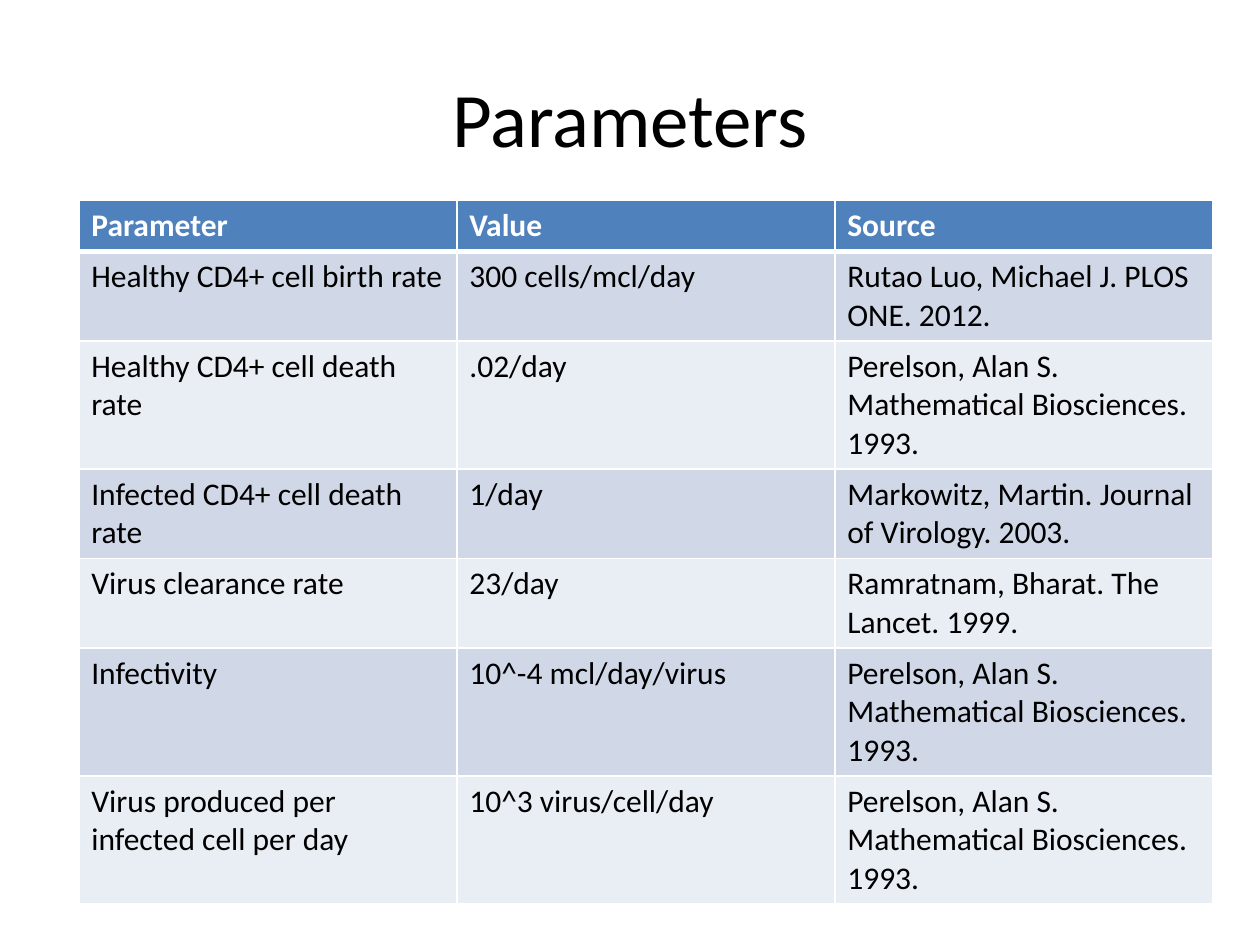
"""Build the slide that lists the model parameters with their sources."""
from dataclasses import dataclass

from lxml.etree import SubElement
from pptx import Presentation
from pptx.dml.color import RGBColor as RGB
from pptx.enum.text import MSO_ANCHOR as Anchor, PP_ALIGN as Align
from pptx.oxml.ns import qn
from pptx.util import Pt


@dataclass(frozen=True)
class Theme:
    font: str = "Calibri"
    title_size: int = 44
    cell_size: int = 18
    text: str = "000000"
    header_text: str = "FFFFFF"
    header_fill: str = "4F81BD"
    bands: tuple = ("D0D8E8", "E9EDF4")
    border: str = "FFFFFF"
    border_width: int = 1
    header_rule: int = 3


class SlideBuilder:
    def __init__(self, theme, slide):
        self.theme = theme
        self.s = slide

    def style(self, p, size, color, bold=False):
        p.font.name = self.theme.font
        p.font.size = Pt(size)
        p.font.bold = bold
        p.font.color.rgb = RGB.from_string(color)

    def title(self, text, left, top, width, height):
        sp = self.s.shapes.title
        sp.left, sp.top, sp.width, sp.height = map(Pt, (left, top, width, height))
        tf = sp.text_frame
        tf.text = text
        tf.vertical_anchor = Anchor.MIDDLE
        p = tf.paragraphs[0]
        p.alignment = Align.CENTER
        self.style(p, self.theme.title_size, self.theme.text)

    def borders(self, cell, top, bottom):
        tc_pr = cell._tc.get_or_add_tcPr()
        side = self.theme.border_width
        for tag, width in (("lnL", side), ("lnR", side), ("lnT", top), ("lnB", bottom)):
            ln = SubElement(tc_pr, qn(f"a:{tag}"), w=str(Pt(width)))
            fill = SubElement(ln, qn("a:solidFill"))
            SubElement(fill, qn("a:srgbClr"), val=self.theme.border)

    def cell(self, cell, text, row):
        t = self.theme
        header = row == 0
        self.borders(
            cell,
            t.header_rule if row == 1 else t.border_width,
            t.header_rule if header else t.border_width,
        )
        cell.fill.solid()
        fill = t.header_fill if header else t.bands[(row - 1) % len(t.bands)]
        cell.fill.fore_color.rgb = RGB.from_string(fill)
        cell.text = text
        p = cell.text_frame.paragraphs[0]
        self.style(p, t.cell_size, t.header_text if header else t.text, header)

    def table(self, rows, left, top, col_width, row_height):
        n_rows, n_cols = len(rows), len(rows[0])
        frame = self.s.shapes.add_table(
            n_rows, n_cols, Pt(left), Pt(top),
            Pt(col_width * n_cols), Pt(row_height * n_rows),
        )
        for i, row in enumerate(rows):
            for j, text in enumerate(row):
                self.cell(frame.table.cell(i, j), text, i)


PERELSON = "Perelson, Alan S. Mathematical Biosciences. 1993."
PARAMETERS = [
    ("Parameter", "Value", "Source"),
    ("Healthy CD4+ cell birth rate", "300 cells/mcl/day",
     "Rutao Luo, Michael J. PLOS ONE. 2012."),
    ("Healthy CD4+ cell death rate", ".02/day", PERELSON),
    ("Infected CD4+ cell death rate", "1/day",
     "Markowitz, Martin. Journal of Virology. 2003."),
    ("Virus clearance rate", "23/day", "Ramratnam, Bharat. The Lancet. 1999."),
    ("Infectivity", "10^-4 mcl/day/virus", PERELSON),
    ("Virus produced per infected cell per day", "10^3 virus/cell/day", PERELSON),
]


def main():
    prs = Presentation()
    prs.slide_width, prs.slide_height = Pt(720), Pt(540)
    slide = prs.slides.add_slide(prs.slide_layouts.get_by_name("Title Only"))
    builder = SlideBuilder(Theme(), slide)
    builder.title("Parameters", 36, 21.6, 648, 90)
    builder.table(PARAMETERS, 45, 114.5, 216, 29.2)
    prs.save("out.pptx")


if __name__ == "__main__":
    main()
